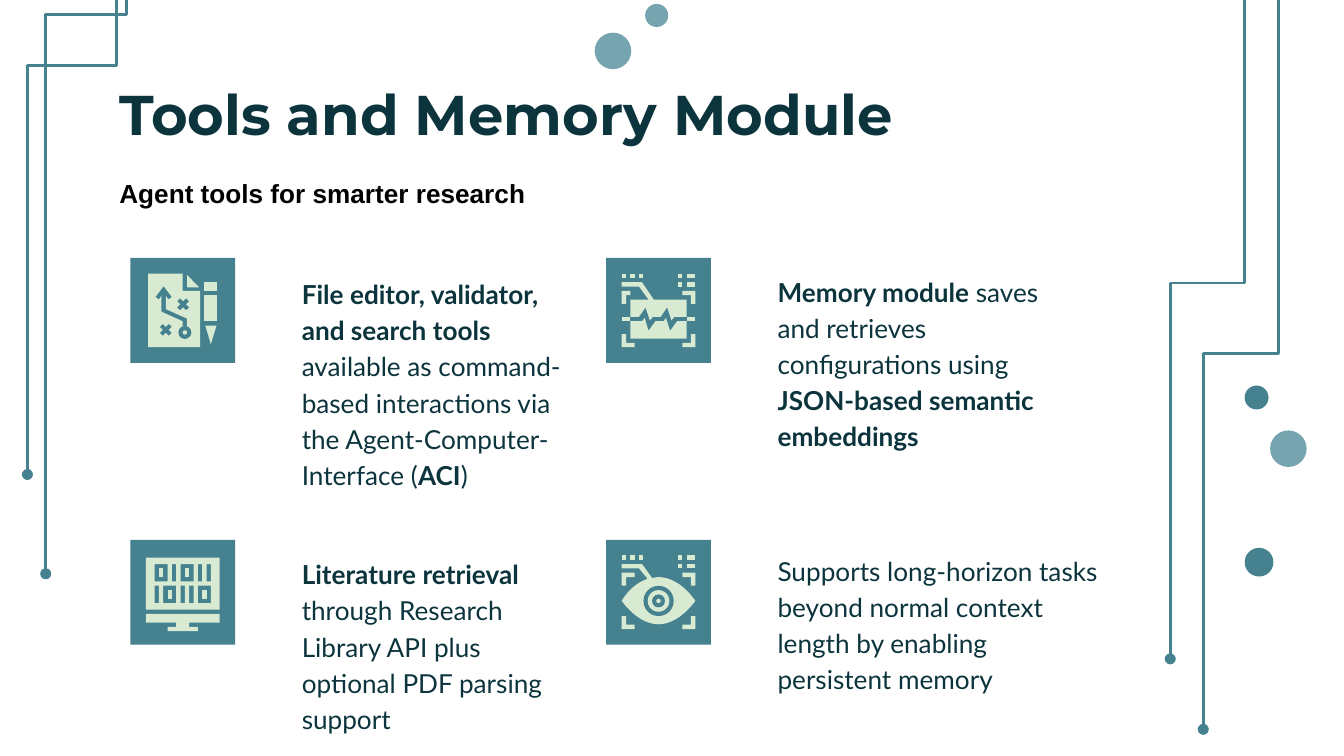
import pptx
import pptx.util
import pptx.dml.color
import pptx.enum.shapes
import pptx.enum.text
import lxml.etree

Pt = pptx.util.Pt
SHAPE = pptx.enum.shapes.MSO_SHAPE
COLORS = {"dark": "0C343D", "teal": "45818E", "mist": "76A5AF",
          "mint": "D9EAD3", "black": "000000", "white": "FFFFFF"}
TILE, GRID, UNIT = 56.2, 17, 2.32
MARGIN = (TILE - GRID * UNIT) / 2


def color(name):
    return pptx.dml.color.RGBColor.from_string(COLORS[name])


def box(x, y, w, h):
    return [(x, y), (x, y + h), (x + w, y + h), (x + w, y)]


def bracket(x, y, dx, dy, arm=3):
    return [(x, y), (x, y + 3 * dy), (x + dx, y + 3 * dy),
            (x + dx, y + dy), (x + arm * dx, y + dy), (x + arm * dx, y)]


def cross(cx, cy):
    half = [(0.7, -1.4), (1.4, -0.7), (0.7, 0), (1.4, 0.7), (0.7, 1.4), (0, 0.7)]
    return [(cx + s * x, cy + s * y) for s in (1, -1) for x, y in half]


def curve(*ctrl, steps=10):
    pts = []
    for i in range(steps + 1):
        t = i / steps
        weights = ((1 - t) ** 3, 3 * t * (1 - t) ** 2, 3 * t * t * (1 - t), t ** 3)
        pts.append(tuple(sum(w * c[k] for w, c in zip(weights, ctrl)) for k in (0, 1)))
    return pts


class Deck:
    def __init__(self, width, height):
        self.prs = pptx.Presentation()
        self.prs.slide_width, self.prs.slide_height = Pt(width), Pt(height)
        self.s = self.prs.slides.add_slide(self.prs.slide_layouts[5])
        self.s.background.fill.solid()
        self.s.background.fill.fore_color.rgb = color("white")

    def paint(self, sp, fill):
        sp.shadow.inherit = False
        sp.fill.solid()
        sp.fill.fore_color.rgb = color(fill)
        sp.line.fill.background()

    def shape(self, kind, x, y, w, h, fill):
        sp = self.s.shapes.add_shape(kind, Pt(x), Pt(y), Pt(w), Pt(h))
        self.paint(sp, fill)

    def dot(self, cx, cy, r, fill):
        self.shape(SHAPE.OVAL, cx - r, cy - r, 2 * r, 2 * r, fill)

    def circuit(self, x1, y1, x2, y2, bend):
        cx, cy, w, h = (x1 + x2) / 2, (y1 + y2) / 2, y2 - y1, x1 - x2
        sp = self.s.shapes.add_connector(
            pptx.enum.shapes.MSO_CONNECTOR.ELBOW,
            Pt(cx - w / 2), Pt(cy - h / 2), Pt(cx + w / 2), Pt(cy + h / 2))
        sp.line.color.rgb = color("teal")
        sp.line.width = Pt(1.5)
        pr = sp._element.spPr
        ns = pr.nsmap["a"]
        pr.find(f"{{{ns}}}xfrm").set("rot", "5400000")
        guides = pr.find(f".//{{{ns}}}avLst")
        ratio = round((bend - y1) / w * 100000)
        lxml.etree.SubElement(guides, f"{{{ns}}}gd", name="adj1", fmla=f"val {ratio}")
        lxml.etree.SubElement(pr.find(f"{{{ns}}}ln"), f"{{{ns}}}tailEnd", type="oval")
        lxml.etree.SubElement(pr, f"{{{ns}}}effectLst")

    def tile(self, x, y):
        self.shape(SHAPE.RECTANGLE, x, y, TILE, TILE, "teal")
        self.origin = (x + MARGIN, y + MARGIN)

    def place(self, x, y):
        return self.origin[0] + x * UNIT, self.origin[1] + y * UNIT

    def glyph(self, *contours):
        outlines = [[tuple(Pt(v) for v in self.place(*pt)) for pt in c] for c in contours]
        builder = self.s.shapes.build_freeform(*outlines[0][0])
        for i, pts in enumerate(outlines):
            if i:
                builder.move_to(*pts[0])
            builder.add_line_segments(pts[1:], close=True)
        self.paint(builder.convert_to_shape(), "mint")

    def rings(self, cx, cy, *radii):
        for i, r in enumerate(radii):
            self.dot(*self.place(cx, cy), r * UNIT, "mint" if i % 2 else "teal")

    def fill_text(self, sp, runs, font, size, fill, inset=7.2, spacing=1.0):
        tf = sp.text_frame
        tf.word_wrap = True
        tf.auto_size = pptx.enum.text.MSO_AUTO_SIZE.NONE
        tf.vertical_anchor = pptx.enum.text.MSO_ANCHOR.TOP
        tf.margin_left = tf.margin_right = Pt(7.2)
        tf.margin_top = tf.margin_bottom = Pt(inset)
        p = tf.paragraphs[0]
        p.alignment = pptx.enum.text.PP_ALIGN.LEFT
        p.line_spacing = spacing
        p.font.name, p.font.size = font, Pt(size)
        p.font.color.rgb = color(fill)
        for text, bold in runs:
            r = p.add_run()
            r.text = text
            r.font.bold = bold

    def title(self, text, x, y, w, h):
        sp = self.s.shapes.title
        sp.left, sp.top, sp.width, sp.height = Pt(x), Pt(y), Pt(w), Pt(h)
        self.fill_text(sp, [(text, True)], "Montserrat", 30, "dark")

    def text(self, x, y, w, h, runs, font="Lato", fill="dark", **layout):
        sp = self.s.shapes.add_textbox(Pt(x), Pt(y), Pt(w), Pt(h))
        self.fill_text(sp, runs, font, 14, fill, **layout)

    def scan_frame(self, top_left_arm):
        for x in (0, 2, 4, 13):
            self.glyph(box(x, 0, 1, 1))
        self.glyph(box(13, 2, 1, 1))
        for y in (0, 2):
            self.glyph(box(15, y, 2, 1))
        self.glyph(bracket(0, 4, 1, 1, top_left_arm))
        self.glyph(bracket(17, 4, -1, 1))
        self.glyph(bracket(0, 17, 1, -1))
        self.glyph(bracket(17, 17, -1, -1))

    def editor_icon(self):
        page = [(0.5, 0), (0.5, 17), (12.5, 17), (12.5, 4), (8.5, 4), (8.5, 0)]
        route = [(4.1, 2.9), (6, 5.4), (5.2, 6), (4.6, 5.1), (4.6, 8.2), (9.5, 10.4),
                 (9.5, 12.2), (8.5, 12.2), (8.5, 11), (3.6, 8.8), (3.6, 5.1),
                 (3, 6), (2.2, 5.4)]
        self.glyph(page, route, cross(8.6, 7.1), cross(4.6, 13))
        self.rings(9, 13.6, 1.5, 0.5)
        self.glyph([(9.5, 0.3), (9.5, 3.2), (12.3, 3.2)])
        self.glyph(box(13.5, 2, 3, 2))
        self.glyph(box(13.5, 5, 3, 6))
        self.glyph([(13.7, 12), (15, 16.3), (16.3, 12)])

    def memory_icon(self):
        self.scan_frame(2)
        self.glyph([(0, 2), (0, 3), (4, 3), (6.2, 6), (2, 6), (2, 10), (4, 10),
                    (5.5, 7.8), (6.5, 10.8), (7.2, 10), (9, 10), (10.5, 7.8),
                    (11.5, 10.8), (12.2, 10), (15, 10), (15, 6), (7.4, 6), (4.7, 2)])
        self.glyph([(5.3, 10.2), (4.7, 11), (2, 11), (2, 15), (15, 15), (15, 11),
                    (12.8, 11), (11.2, 13.2), (10.2, 10.2), (9.7, 11), (7.8, 11),
                    (6.2, 13.2)])
        for x in (0, 15):
            self.glyph(box(x, 10, 2, 1))

    def binary_icon(self):
        zeros = [(2, 2), (8, 2), (4, 7), (12, 7)]
        ones = [(6, 2), (12, 2), (14, 2), (2, 7), (8, 7), (10, 7)]
        self.glyph(box(0, 0.5, 17, 12), *[box(x, y, 3, 4) for x, y in zeros],
                   *[box(x, y, 1, 4) for x, y in ones])
        for x, y in zeros:
            self.glyph(box(x + 1, y + 1, 1, 2))
        self.glyph([(0, 13.5), (0, 15.5), (7, 15.5), (7, 16.5), (5, 16.5), (5, 17.5),
                    (12, 17.5), (12, 16.5), (10, 16.5), (10, 15.5), (17, 15.5), (17, 13.5)])

    def eye_icon(self):
        self.scan_frame(3)
        self.glyph([(0, 2), (0, 3), (4, 3)]
                   + curve((6, 5.4), (3.4, 6.2), (1.2, 8.4), (0, 10.5))
                   + curve((0, 10.5), (1.9, 13.1), (5, 15.9), (8.5, 15.9))
                   + curve((8.5, 15.9), (12, 15.9), (15.1, 13.1), (17, 10.5))
                   + curve((17, 10.5), (15.1, 7.7), (12, 5), (8.5, 5))
                   + [(7, 5.2), (4.7, 2)])
        self.rings(8.5, 10.5, 3.5, 2.5, 1.5, 0.5)


def main():
    deck = Deck(720, 405)
    for line in [(67.7, -62, 24.5, 307.4, 7.7), (62.6, -72, 14.7, 254.2, 35.1),
                 (684.7, -12.2, 644.6, 390.7, 189.2), (666.9, -49.7, 626.9, 353, 151.7)]:
        deck.circuit(*line)
    for dot in [(328.4, 27.3, 9.8, "mist"), (351.8, 8.3, 6.2, "mist"),
                (690.2, 240.4, 9.8, "mist"), (674.5, 301.2, 7.7, "teal"),
                (673.2, 213, 6.4, "teal")]:
        deck.dot(*dot)

    deck.title("Tools and Memory Module", 56.9, 35.3, 607, 45.4)
    deck.text(56.9, 91.4, 360, 24.5, [("Agent tools for smarter research", True)],
              font="Arial", fill="black", inset=3.6)

    left, right, upper, lower = 69.8, 324.7, 138.2, 289.2
    items = [
        (left, upper, deck.editor_icon, 1.5, 155.5,
         [("File editor, validator, and search tools ", True),
          ("available as command-based interactions via the Agent-Computer-Interface (", False),
          ("ACI", True), (")", False)]),
        (right, upper, deck.memory_icon, 0, 155.5,
         [("Memory module ", True), ("saves and retrieves configurations using ", False),
          ("JSON-based semantic embeddings", True)]),
        (left, lower, deck.binary_icon, 0.5, 155.5,
         [("Literature retrieval ", True),
          ("through Research Library API plus optional PDF parsing support", False)]),
        (right, lower, deck.eye_icon, -1.2, 189.4,
         [("Supports long-horizon tasks beyond normal context length by enabling "
           "persistent memory", False)]),
    ]
    for x, y, draw_icon, drop, width, runs in items:
        deck.tile(x, y)
        draw_icon()
        deck.text(x + 84.8, y + drop, width, 52.6, runs, spacing=1.15)
    deck.prs.save("out.pptx")


if __name__ == "__main__":
    main()
